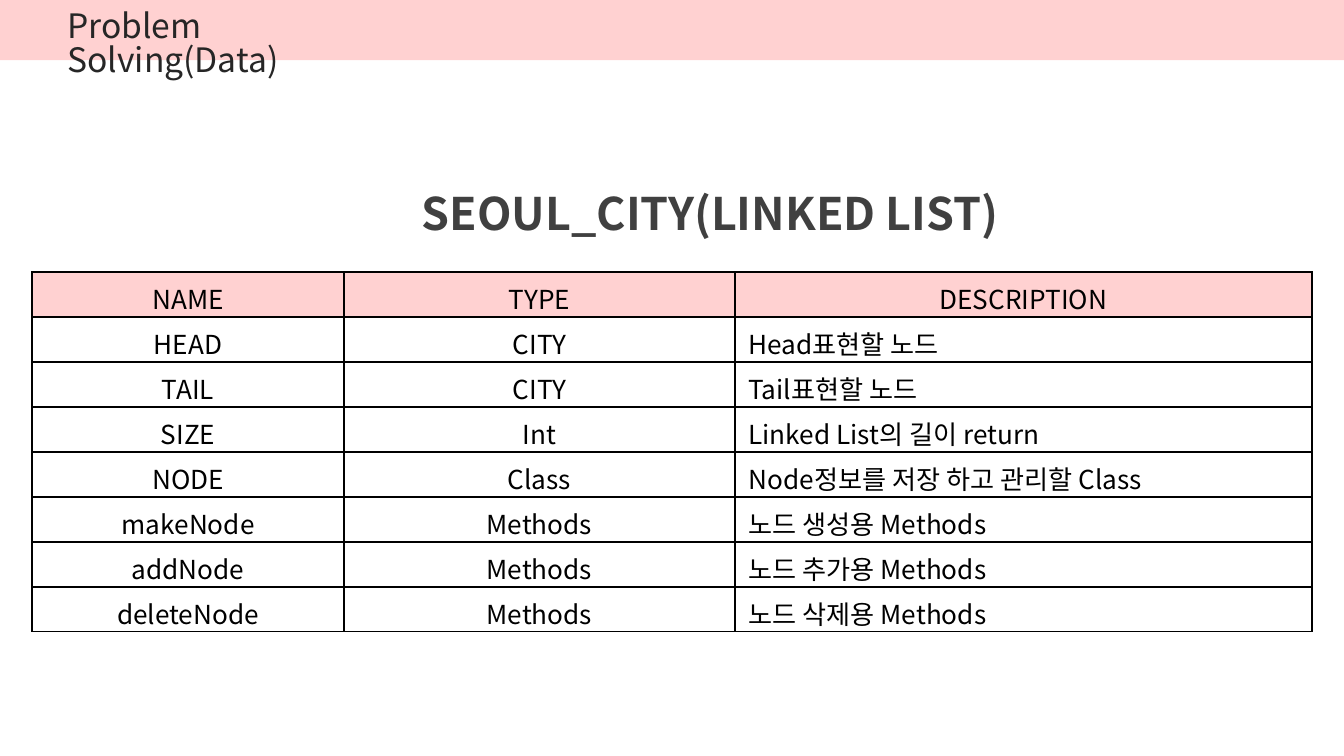
"""Build a slide describing the members of the SEOUL_CITY linked list."""
from pptx import Presentation
from pptx.dml.color import RGBColor
from pptx.enum.shapes import MSO_SHAPE
from pptx.enum.text import MSO_ANCHOR, MSO_AUTO_SIZE, PP_ALIGN
from pptx.oxml import parse_xml
from pptx.oxml.ns import nsdecls
from pptx.util import Cm, Pt

FONT = "Noto Sans CJK KR"
PINK = RGBColor(0xFF, 0xD1, 0xD1)
BLACK = RGBColor(0, 0, 0)
TITLE_GRAY = RGBColor(0x26, 0x26, 0x26)
HEADING_GRAY = RGBColor(0x40, 0x40, 0x40)

TITLE = "Problem Solving(Data)"
HEADING = "SEOUL_CITY(LINKED LIST)"
MEMBERS = [
    ("NAME", "TYPE", "DESCRIPTION"),
    ("HEAD", "CITY", "Head표현할 노드"),
    ("TAIL", "CITY", "Tail표현할 노드"),
    ("SIZE", "Int", "Linked List의 길이 return"),
    ("NODE", "Class", "Node정보를 저장 하고 관리할 Class"),
    ("makeNode", "Methods", "노드 생성용 Methods"),
    ("addNode", "Methods", "노드 추가용 Methods"),
    ("deleteNode", "Methods", "노드 삭제용 Methods"),
]
COLUMN_WIDTHS = [5.89, 7.39, 10.9]
ROW_HEIGHT = 0.85


def write(frame, text, size, color, align, spacing=1.0, bold=False):
    frame.text = text
    frame.word_wrap = True
    paragraph = frame.paragraphs[0]
    paragraph.alignment = align
    paragraph.line_spacing = spacing
    run = paragraph.runs[0]
    run.font.name = FONT
    run.font.size = Pt(size)
    run.font.bold = bold
    run.font.color.rgb = color
    latin = run.font._element.find("{*}latin")
    latin.addnext(parse_xml(f'<a:ea {nsdecls("a")} typeface="{FONT}"/>'))


def add_borders(cell):
    properties = cell._tc.get_or_add_tcPr()
    for position, side in enumerate(("lnL", "lnR", "lnT", "lnB")):
        properties.insert(position, parse_xml(
            f'<a:{side} {nsdecls("a")} w="{Pt(1)}"><a:solidFill>'
            f'<a:srgbClr val="{BLACK}"/></a:solidFill></a:{side}>'))


def add_header(slide, width):
    band = slide.shapes.add_shape(MSO_SHAPE.RECTANGLE, 0, 0, width, Cm(1.14))
    band.shadow.inherit = False
    band.fill.solid()
    band.fill.fore_color.rgb = PINK
    band.line.fill.background()
    title = slide.shapes.title
    band._element.addnext(title._element)
    title.left, title.top, title.width, title.height = Cm(1.02), Cm(0.08), Cm(6.9), Cm(1.02)
    frame = title.text_frame
    frame.auto_size = MSO_AUTO_SIZE.NONE
    frame.vertical_anchor = MSO_ANCHOR.TOP
    write(frame, TITLE, 18, TITLE_GRAY, PP_ALIGN.LEFT, spacing=0.85)


def add_heading(slide):
    heading = slide.shapes.add_textbox(Cm(7.49), Cm(3.5), Cm(11.86), Cm(1.27))
    write(heading.text_frame, HEADING, 24, HEADING_GRAY, PP_ALIGN.CENTER, spacing=0.9, bold=True)


def add_members(slide):
    members = slide.shapes.add_table(
        len(MEMBERS), len(COLUMN_WIDTHS), Cm(0.61), Cm(5.14),
        Cm(sum(COLUMN_WIDTHS)), Cm(ROW_HEIGHT * len(MEMBERS))).table
    for column, width in zip(members.columns, COLUMN_WIDTHS):
        column.width = Cm(width)
    for r, member in enumerate(MEMBERS):
        members.rows[r].height = Cm(ROW_HEIGHT)
        for c, text in enumerate(member):
            cell = members.cell(r, c)
            cell.vertical_anchor = MSO_ANCHOR.MIDDLE
            cell.margin_bottom = 0
            if r == 0:
                cell.fill.solid()
                cell.fill.fore_color.rgb = PINK
            else:
                cell.fill.background()
            add_borders(cell)
            align = PP_ALIGN.LEFT if r and c == 2 else PP_ALIGN.CENTER
            write(cell.text_frame, text, 14, BLACK, align)


def main():
    deck = Presentation()
    deck.slide_width, deck.slide_height = Cm(25.4), Cm(14.29)
    slide = deck.slides.add_slide(deck.slide_layouts[5])
    add_header(slide, deck.slide_width)
    add_heading(slide)
    add_members(slide)
    deck.save("out.pptx")


if __name__ == "__main__":
    main()
